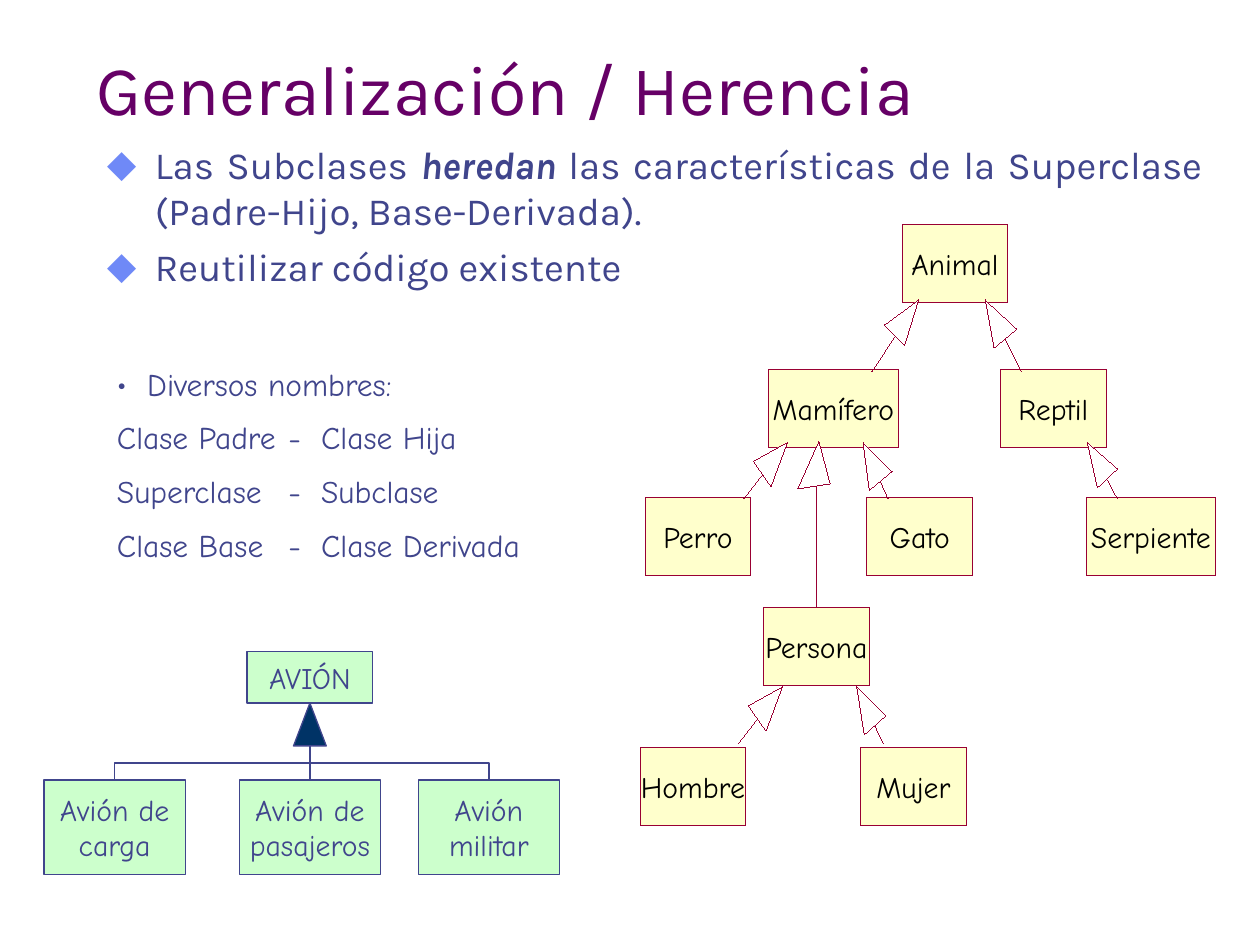
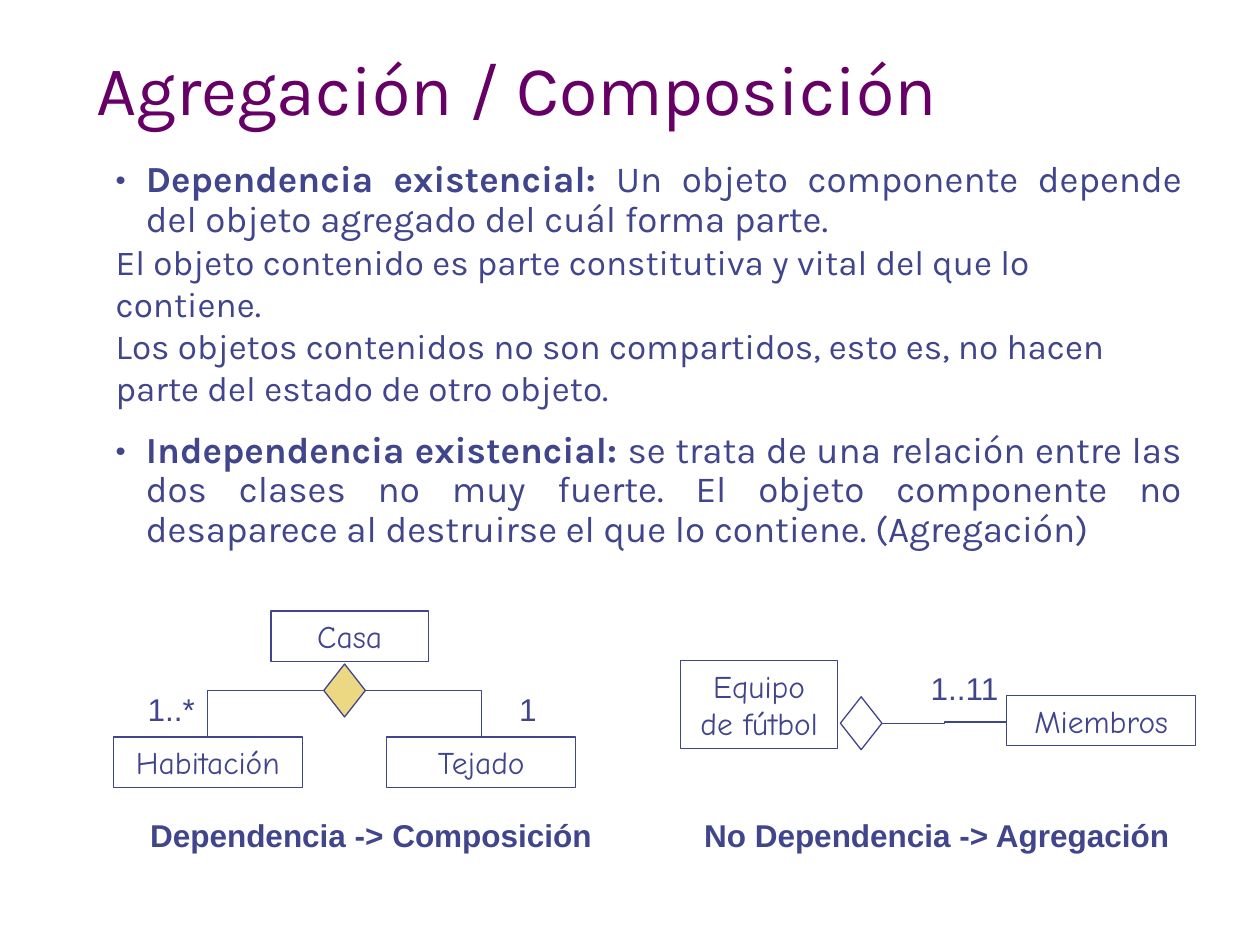
from lxml.etree import SubElement
from pptx import Presentation
from pptx.dml.color import RGBColor
from pptx.enum.shapes import MSO_CONNECTOR, MSO_SHAPE
from pptx.enum.text import MSO_ANCHOR, PP_ALIGN
from pptx.oxml.ns import qn
from pptx.util import Pt

PX = 9144
HAIR = 0.01
LEFT, MID, JUST = PP_ALIGN.LEFT, PP_ALIGN.CENTER, PP_ALIGN.JUSTIFY


def emu(*lens):
    return [round(n * PX) for n in lens]


def color(code):
    return RGBColor.from_string(code)


def write(frame, text, font="Karla", size=18, ink="40458C", align=LEFT,
          space=None, before=None, mark=None, hue=None, scale=100, hang=24, tabs=()):
    para = frame.paragraphs[0]
    if para.runs:
        para = frame.add_paragraph()
        if before:
            para.space_before = Pt(before)
    para.alignment = align
    if space:
        para.line_spacing = space
    props = para._p.get_or_add_pPr()
    if mark:
        props.set("marL", str(hang * PX))
        props.set("indent", str(-hang * PX))
        tint = SubElement(props, qn("a:buClr"))
        SubElement(tint, qn("a:srgbClr"), val=hue or ink)
        SubElement(props, qn("a:buSzPct"), val=str(scale * 1000))
        SubElement(props, qn("a:buFont"), typeface=font)
        SubElement(props, qn("a:buChar"), char=mark)
    if tabs:
        stops = SubElement(props, qn("a:tabLst"))
        for stop in tabs:
            SubElement(stops, qn("a:tab"), pos=str(stop * PX), algn="l")
    for part, style in [(text, "")] if isinstance(text, str) else text:
        run = para.add_run()
        run.text = part
        face = run.font
        face.name, face.size = font, Pt(size)
        face.bold, face.italic = "b" in style, "i" in style
        face.color.rgb = color(ink)


class Deck:
    blue, wine, plum = "40458C", "990033", "660066"
    hand, sans = "Comic Neue", "Arial"

    def __init__(self):
        self.file = Presentation()
        self.file.slide_width, self.file.slide_height = emu(1000, 750)

    def page(self, title):
        self.slide = self.file.slides.add_slide(self.file.slide_layouts[6])
        self.shapes = self.slide.shapes
        frame = self.frame(67, 28, 850, 79)
        frame.vertical_anchor = MSO_ANCHOR.BOTTOM
        write(frame, title, size=40, ink=self.plum, space=0.8)

    def frame(self, x, y, w, h):
        frame = self.shapes.add_textbox(*emu(x, y, w, h)).text_frame
        frame.word_wrap = True
        return frame

    def label(self, x, y, w, text, bold=False):
        write(self.frame(x, y, w, 40), [(text, "b" if bold else "")],
              font=self.sans, align=MID)

    def paint(self, shape, fill, line, width):
        shape.shadow.inherit = False
        if fill:
            shape.fill.solid()
            shape.fill.fore_color.rgb = color(fill)
        else:
            shape.fill.background()
        self.ink(shape, line, width)
        return shape

    def ink(self, shape, line, width):
        shape.line.color.rgb = color(line)
        shape.line.width = Pt(width)

    def form(self, kind, x, y, w, h, fill=None, line=blue, width=0.75):
        return self.paint(self.shapes.add_shape(kind, *emu(x, y, w, h)), fill, line, width)

    def box(self, x, y, w, h, text, size=18, ink=blue, wrap=False, **look):
        shape = self.form(MSO_SHAPE.RECTANGLE, x, y, w, h, **look)
        frame = shape.text_frame
        frame.word_wrap = wrap
        frame.vertical_anchor = MSO_ANCHOR.MIDDLE
        for row in text.split("\n"):
            write(frame, row, font=self.hand, size=size, ink=ink, align=MID)
        return shape

    def line(self, start, end, tint=blue, width=0.75, kind=MSO_CONNECTOR.STRAIGHT):
        link = self.shapes.add_connector(kind, *emu(*start, *end))
        self.ink(link, tint, width)
        SubElement(link._element.spPr, qn("a:effectLst"))
        return link

    def elbow(self, start, end):
        return self.line(start, end, kind=MSO_CONNECTOR.ELBOW)

    def corner(self, start, end):
        link = self.elbow(start, end)
        link._element.spPr.find(qn("a:prstGeom")).set("prst", "bentConnector2")

    def drop(self, start, end):
        (a, b), (c, d) = start, end
        x, y, w, h = (a + c) / 2, (b + d) / 2, (c - a) / 2, (d - b) / 2
        link = self.elbow((x - h, y + w), (x + h, y - w))
        link._element.spPr.find(qn("a:xfrm")).set("rot", "5400000")

    def head(self, *points):
        pen = self.shapes.build_freeform(*points[0], scale=PX)
        pen.add_line_segments(points[1:], close=True)
        self.paint(pen.convert_to_shape(), "FFFFFF", self.wine, HAIR)


def inherit(deck):
    deck.page("Generalización / Herencia")
    beasts = [
        ("Animal", 716, 178, 84), ("Mamífero", 610, 293, 103), ("Reptil", 794, 293, 84),
        ("Perro", 512, 395, 84), ("Gato", 688, 395, 84), ("Serpiente", 862, 395, 103),
        ("Persona", 606, 482, 84), ("Hombre", 508, 593, 84), ("Mujer", 683, 593, 84),
    ]
    nodes = {}
    for name, x, y, w in beasts:
        nodes[name] = deck.box(x, y, w, 62, name, size=17, ink="000000",
                               fill="FFFFCC", line=deck.wine, width=HAIR)
    links = [
        ((692, 295), (729, 238), (718, 274), (702, 258)),
        ((811, 295), (782, 238), (807, 261), (789, 276)),
        ((590, 396), (625, 351), (612, 386), (598, 366)),
        ((705, 396), (685, 351), (708, 374), (690, 389)),
        ((887, 396), (863, 351), (887, 372), (871, 387)),
        ((586, 590), (621, 545), (608, 580), (594, 560)),
        ((701, 590), (680, 545), (703, 568), (686, 583)),
    ]
    for start, *tip in links:
        deck.line(start, tip[0], deck.wine, HAIR)
        deck.head(*tip)
    stem = deck.line((648, 482), (648, 383), deck.wine, HAIR)
    stem.begin_connect(nodes["Persona"], 0)
    deck.head((650, 350), (659, 384), (633, 388))

    names = deck.frame(83, 288, 375, 165)
    look = dict(font=deck.hand, space=0.9, before=11.2)
    write(names, "Diversos nombres:", mark="•", **look)
    for pair in ["Clase Padre\t-\tClase Hija", "Superclase\t-\tSubclase",
                 "Clase Base\t-\tClase Derivada"]:
        write(names, pair, tabs=(136, 162), **look)

    mint = dict(size=17, fill="CCFFCC")
    deck.box(196, 517, 100, 41, "AVIÓN", **mint)
    deck.form(MSO_SHAPE.ISOSCELES_TRIANGLE, 233, 558, 26, 34, fill="003366")
    root = (246, 592)
    kinds = [(35, "Avión de\ncarga"), (190, "Avión de\npasajeros"), (332, "Avión\nmilitar")]
    for x, text in kinds:
        plane = deck.box(x, 619, 112, 75, text, **mint)
        end = (x + 56, 619)
        if end[0] == root[0]:
            deck.line(root, end).end_connect(plane, 0)
        else:
            deck.drop(root, end)

    points = deck.frame(75, 107, 889, 134)
    look = dict(size=22, align=JUST, before=5.5, mark="⬥", hue="6F89F7", scale=110, hang=38)
    write(points, [("Las Subclases ", ""), ("heredan ", "bi"),
                   ("las características de la Superclase (Padre-Hijo, Base-Derivada).", "")],
          **look)
    write(points, "Reutilizar código existente", **look)


def compose(deck):
    deck.page("Agregación / Composición")
    body = deck.frame(82, 123, 866, 377)
    look = dict(size=21, align=JUST, space=0.9, before=13.1, mark="•")
    write(body, [("Dependencia existencial: ", "b"),
                 ("Un objeto componente depende del objeto agregado del cuál forma parte.", "")],
          **look)
    for text in ["El objeto contenido es parte constitutiva y vital del que lo contiene.",
                 "Los objetos contenidos no son compartidos, esto es, no hacen parte "
                 "del estado de otro objeto."]:
        write(body, text, size=20)
    write(body, [("Independencia existencial: ", "b"),
                 ("se trata de una relación entre las dos clases no muy fuerte. El objeto "
                  "componente no desaparece al destruirse el que lo contiene. (Agregación)", "")],
          **look)

    deck.box(215, 485, 125, 40, "Casa")
    deck.form(MSO_SHAPE.DIAMOND, 257, 527, 33, 42, fill="ECD882")
    for x, text, side in [(90, "Habitación", 257), (307, "Tejado", 290)]:
        deck.box(x, 585, 150, 40, text)
        deck.corner((side, 548), (x + 75, 585))
    deck.label(107, 543, 58, "1..*")
    deck.label(390, 543, 58, "1")
    deck.label(107, 643, 375, "Dependencia -> Composición", bold=True)

    deck.box(540, 524, 125, 70, "Equipo de fútbol", wrap=True)
    deck.box(799, 552, 150, 40, "Miembros")
    deck.form(MSO_SHAPE.DIAMOND, 667, 553, 33, 42)
    deck.elbow((700, 574), (799, 573))
    deck.label(724, 526, 83, "1..11")
    deck.label(547, 643, 393, "No Dependencia -> Agregación", bold=True)


def main():
    deck = Deck()
    inherit(deck)
    compose(deck)
    deck.file.save("out.pptx")


if __name__ == "__main__":
    main()
